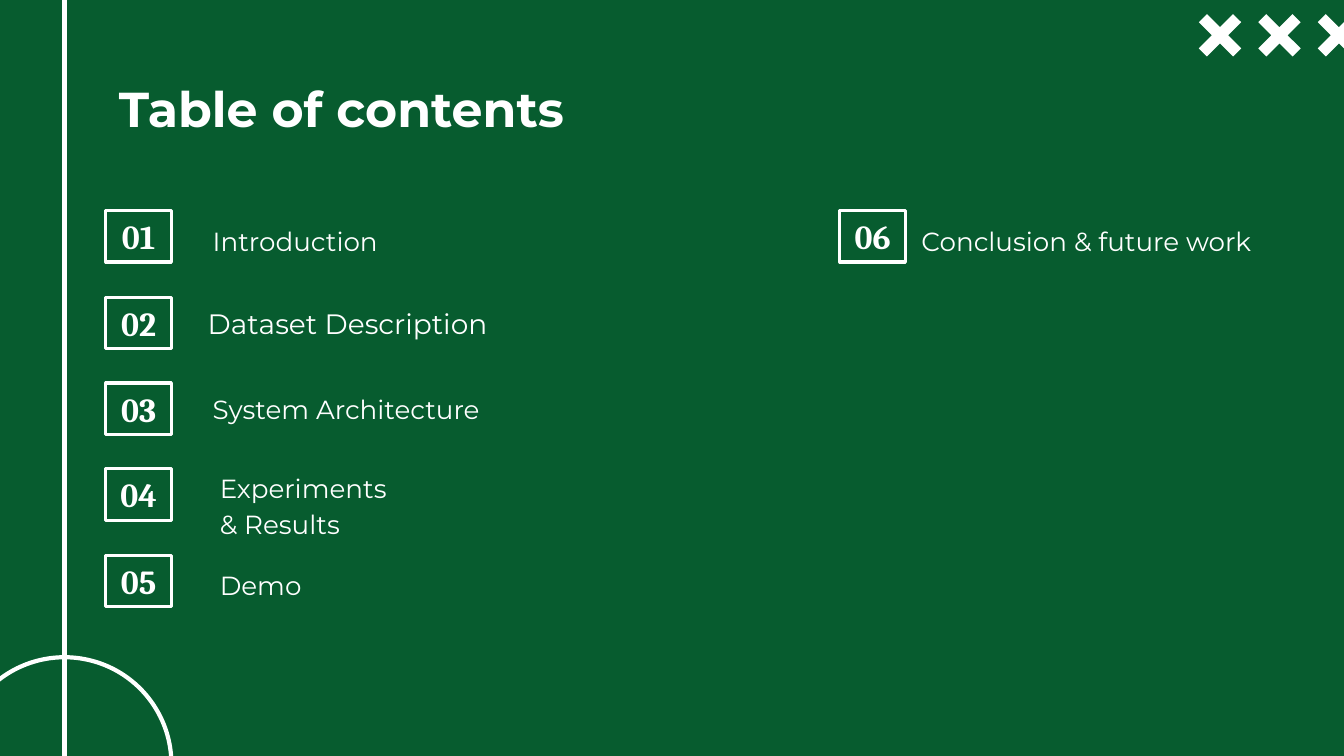
from pptx import Presentation
from pptx.dml.color import RGBColor
from pptx.enum.shapes import MSO_CONNECTOR as Conn, MSO_SHAPE as Shape
from pptx.enum.text import MSO_ANCHOR as Anchor, PP_ALIGN as Align
from pptx.util import Inches, Pt
from lxml.etree import SubElement
from pptx.oxml.ns import qn

GREEN = RGBColor(0x07, 0x5C, 0x2F)
WHITE = RGBColor(0xFF, 0xFF, 0xFF)

TITLE = {"name": "Montserrat", "size": Pt(35), "bold": True}
NUMBER = {"name": "Cambria", "size": Pt(24), "bold": True}
LABEL = {"name": "Montserrat", "size": Pt(18.7)}
LARGE = {"name": "Montserrat", "size": Pt(20)}

ROW_TOPS = [2.09, 2.95, 3.8, 4.65, 5.51]
LEFT, RIGHT = 1.05, 8.33
# column, row, label left, label top, label width, format, lines
TOPICS = [
    (LEFT, 0, 1.98, 2.02, 3, LABEL, ["Introduction"]),
    (LEFT, 1, 1.93, 2.84, 3.3, LARGE, ["Dataset Description"]),
    (LEFT, 2, 1.98, 3.68, 4.15, LABEL, ["System Architecture"]),
    (LEFT, 3, 2.05, 4.83, 5.03, LABEL, ["Experiments", "& Results"]),
    (LEFT, 4, 2.05, 5.43, 3, LABEL, ["Demo"]),
    (RIGHT, 0, 9.01, 2.02, 4.3, LABEL, ["Conclusion & future work"]),
]


class Pitch:
    """Draws white elements on one green slide."""

    def __init__(self, deck):
        self.slide = deck.slides.add_slide(deck.slide_layouts[6])
        self.shapes = self.slide.shapes
        fill = self.slide.background.fill
        fill.solid()
        fill.fore_color.rgb = GREEN

    def stroke(self, line, width):
        line.color.rgb = WHITE
        line.width = Pt(width)

    def outline(self, kind, x, y, w, h, width):
        """Add an unfilled shape with a white edge."""
        shape = self.shapes.add_shape(
            kind, Inches(x), Inches(y), Inches(w), Inches(h))
        shape.shadow.inherit = False
        shape.fill.background()
        self.stroke(shape.line, width)
        return shape

    def line(self, x, top, end):
        line = self.shapes.add_connector(
            Conn.STRAIGHT, Inches(x), Inches(top), Inches(x), Inches(end))
        self.stroke(line.line, 3)
        SubElement(line._element.spPr, qn("a:effectLst"))

    def cross(self, x, y):
        """Add a diagonal cross with its top left corner at x, y."""
        arm, near, mid, far, size = 0.08, 0.13, 0.21, 0.29, 0.42
        end = size - arm
        dots = [(0, end), (arm, size), (mid, far), (end, size),
                (size, end), (far, mid), (size, arm), (end, 0),
                (mid, near), (arm, 0), (0, arm), (near, mid)]
        dots = [(Inches(x + dx), Inches(y + dy)) for dx, dy in dots]
        edge = self.shapes.build_freeform(*dots[0])
        edge.add_line_segments(dots[1:], close=True)
        shape = edge.convert_to_shape()
        shape.shadow.inherit = False
        shape.fill.solid()
        shape.fill.fore_color.rgb = WHITE
        shape.line.fill.background()

    def letter(self, shape, lines, style, anchor, align=Align.LEFT, space=1):
        """Put formatted paragraphs into a shape."""
        frame = shape.text_frame
        frame.word_wrap = True
        frame.vertical_anchor = anchor
        for side in ("left", "top", "right", "bottom"):
            setattr(frame, f"margin_{side}", Inches(0.13))
        for i, words in enumerate(lines):
            para = frame.add_paragraph() if i else frame.paragraphs[0]
            para.alignment = align
            para.line_spacing = space
            run = para.add_run()
            run.text = words
            run.font.color.rgb = WHITE
            for key, value in style.items():
                setattr(run.font, key, value)

    def text(self, x, y, w, h, lines, style, anchor, space=1):
        box = self.shapes.add_textbox(
            Inches(x), Inches(y), Inches(w), Inches(h))
        self.letter(box, lines, style, anchor, space=space)

    def number(self, x, y, words):
        box = self.outline(Shape.RECTANGLE, x, y, 0.65, 0.51, 2.25)
        self.letter(box, [words], NUMBER, Anchor.MIDDLE, Align.CENTER)


def main():
    deck = Presentation()
    deck.slide_width, deck.slide_height = Inches(13.33), Inches(7.5)
    pitch = Pitch(deck)
    pitch.outline(Shape.OVAL, -0.42, 6.52, 2.12, 2.12, 3)
    pitch.line(0.64, 0, 7.5)
    for i in range(3):
        pitch.cross(11.89 + 0.59 * i, 0.14)
    pitch.text(1.05, 0.65, 11.23, 0.84, ["Table of contents"], TITLE,
               Anchor.TOP)
    for i, (col, row, x, y, w, style, lines) in enumerate(TOPICS, 1):
        pitch.number(col, ROW_TOPS[row], f"{i:02}")
        pitch.text(x, y, w, 0.66, lines, style, Anchor.BOTTOM, 1.15)
    deck.save("out.pptx")


if __name__ == "__main__":
    main()
